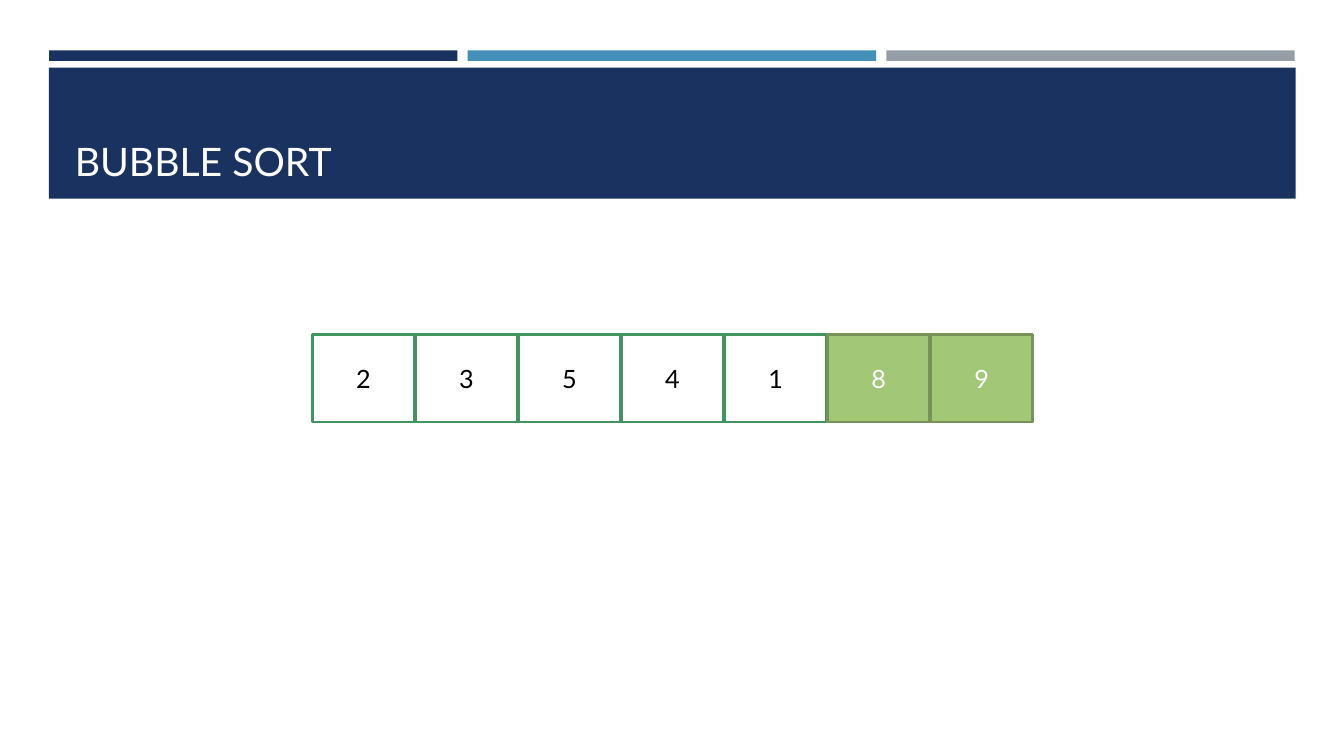
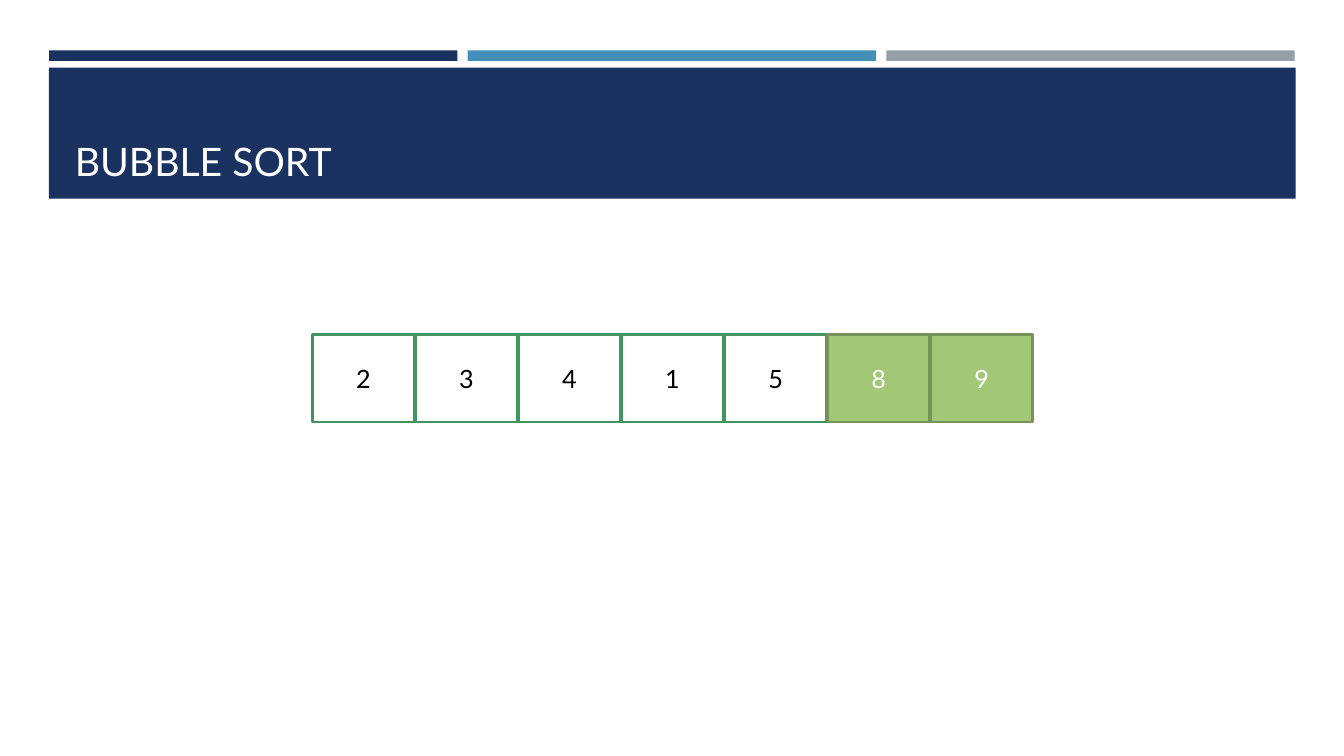
import pptx
import pptx.util
import pptx.dml.color
import pptx.enum.shapes
import pptx.enum.text
from dataclasses import dataclass

# Content: each step lists its values and how many at the end are sorted
HEADING = "BUBBLE SORT"
STEPS = [
    {"values": [2, 3, 5, 4, 1, 8, 9], "sorted": 2},
    {"values": [2, 3, 4, 1, 5, 8, 9], "sorted": 2},
]


@dataclass(frozen=True)
class Theme:
    font: str = "Lato"
    heading_size: float = 28
    value_size: float = 18
    outline: float = 1.75
    navy: str = "1A3260"
    blue: str = "4590B8"
    grey: str = "969FA7"
    heading: str = "FFFEFF"
    # fill, line and text colour of a cell
    unsorted_cell: tuple = ("FFFFFF", "42955F", "000000")
    sorted_cell: tuple = ("A2C777", "789358", "FFFFFF")


THEME = Theme()
Pt = pptx.util.Pt
ALIGN = pptx.enum.text.PP_ALIGN
ANCHOR = pptx.enum.text.MSO_ANCHOR

# Geometry in points: left, top, width, height
SLIDE_SIZE = (960, 540)
HEADER = (34.9, 48.4, 890.5, 93.6)
HEADING_BOX = (46.3, 55.6, 868.2, 79.7)
STRIPE = (35.1, 36, 291.7, 7.5)
STRIPE_PITCH = 299
CELL = (223.2, 239, 72.8, 62.6)
CELL_PITCH = 73.6


def rgb(code):
    return pptx.dml.color.RGBColor.from_string(code)


def shifted(box, offset):
    left, top, width, height = box
    return left + offset, top, width, height


def add_block(slide, box, fill, line=None):
    block = slide.shapes.add_shape(
        pptx.enum.shapes.MSO_SHAPE.RECTANGLE, *map(Pt, box))
    block.shadow.inherit = False
    block.fill.solid()
    block.fill.fore_color.rgb = rgb(fill)
    if line:
        block.line.color.rgb = rgb(line)
        block.line.width = Pt(THEME.outline)
    else:
        block.line.fill.background()
    return block


def write(holder, text, size, colour, align, anchor):
    frame = holder.text_frame
    frame.word_wrap = True
    frame.auto_size = pptx.enum.text.MSO_AUTO_SIZE.NONE
    frame.vertical_anchor = anchor
    paragraph = frame.paragraphs[0]
    paragraph.alignment = align
    run = paragraph.add_run()
    run.text = text
    run.font.name = THEME.font
    run.font.size = Pt(size)
    run.font.color.rgb = rgb(colour)


def move_header_to_layout(slide, layout):
    """Draw the stripes and header band, then share them through the layout."""
    heading, *footers = layout.placeholders
    for footer in footers:
        footer.element.getparent().remove(footer.element)
    bands = [add_block(slide, shifted(STRIPE, i * STRIPE_PITCH), colour)
             for i, colour in enumerate((THEME.navy, THEME.blue, THEME.grey))]
    bands.append(add_block(slide, HEADER, THEME.navy))
    for band in bands:
        heading.element.addprevious(band.element)


def add_heading(slide):
    heading = slide.shapes.title
    heading.left, heading.top, heading.width, heading.height = map(Pt, HEADING_BOX)
    write(heading, HEADING, THEME.heading_size, THEME.heading,
          ALIGN.LEFT, ANCHOR.BOTTOM)


def add_array(slide, step):
    first_sorted = len(step["values"]) - step["sorted"]
    for i, value in enumerate(step["values"]):
        style = THEME.sorted_cell if i >= first_sorted else THEME.unsorted_cell
        fill, line, colour = style
        cell = add_block(slide, shifted(CELL, i * CELL_PITCH), fill, line)
        write(cell, str(value), THEME.value_size, colour,
              ALIGN.CENTER, ANCHOR.MIDDLE)


# Build the deck
deck = pptx.Presentation()
deck.slide_width, deck.slide_height = map(Pt, SLIDE_SIZE)
title_only = deck.slide_layouts[5]
for number, step in enumerate(STEPS):
    slide = deck.slides.add_slide(title_only)
    if number == 0:
        move_header_to_layout(slide, title_only)
    add_heading(slide)
    add_array(slide, step)
deck.save("out.pptx")
